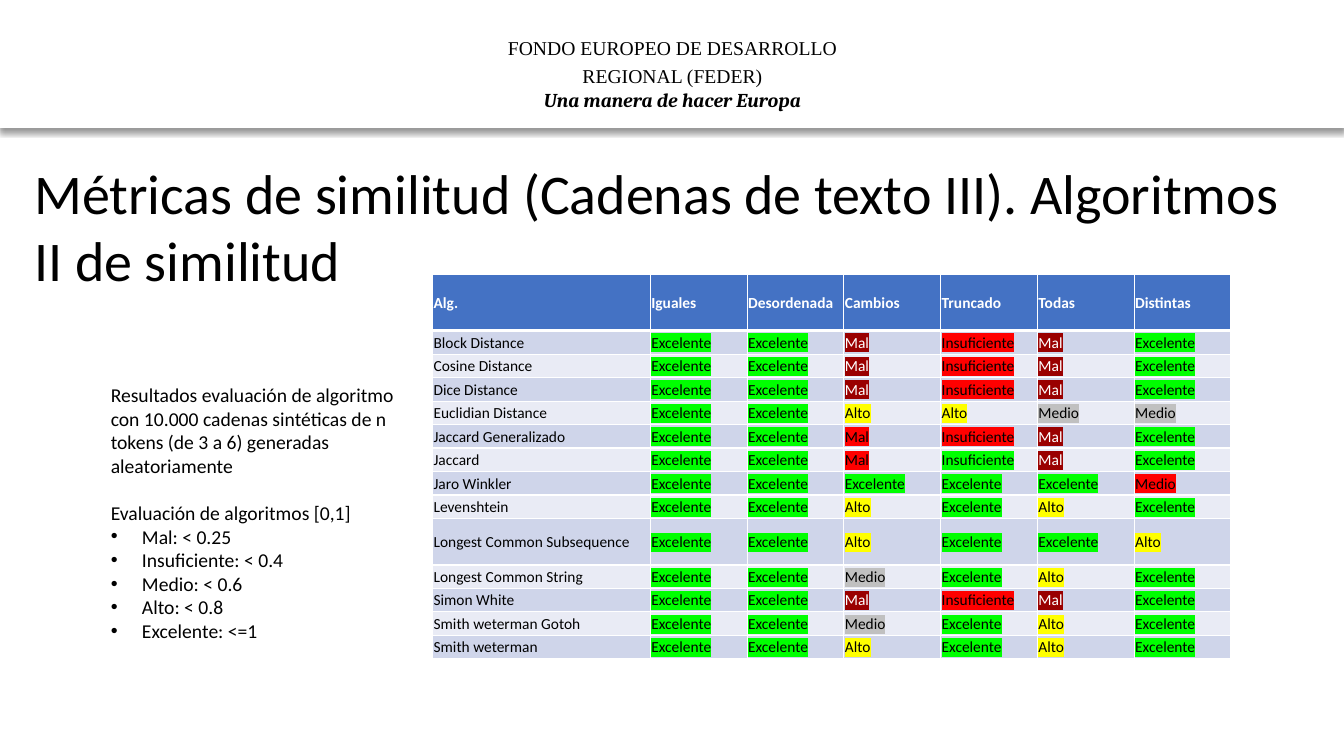
from lxml import etree
from pptx import Presentation
from pptx.dml.color import RGBColor
from pptx.enum.shapes import MSO_SHAPE
from pptx.enum.text import MSO_ANCHOR, MSO_AUTO_SIZE, PP_ALIGN
from pptx.oxml.ns import qn
from pptx.util import Inches, Pt

RECTANGLE = MSO_SHAPE.RECTANGLE
TOP, MIDDLE = MSO_ANCHOR.TOP, MSO_ANCHOR.MIDDLE
LEFT, CENTER = PP_ALIGN.LEFT, PP_ALIGN.CENTER
FIXED = MSO_AUTO_SIZE.NONE

TITLE = "Métricas de similitud (Cadenas de texto III). Algoritmos II de similitud"
FUND = "FONDO EUROPEO DE DESARROLLO REGIONAL (FEDER)"
MOTTO = "Una manera de hacer Europa"
SUMMARY = ("Resultados evaluación de algoritmo con 10.000 cadenas sintéticas de n "
           "tokens (de 3 a 6) generadas aleatoriamente")
SCALE_HEADING = "Evaluación de algoritmos [0,1]"
SCALE = ["Mal: < 0.25", "Insuficiente: < 0.4", "Medio: < 0.6", "Alto: < 0.8", "Excelente: <=1"]

HEADINGS = ["Alg.", "Iguales", "Desordenada", "Cambios", "Truncado", "Todas", "Distintas"]
E, A, M, I, B = "Excelente", "Alto", "Medio", "Insuficiente", "Mal"
RESULTS = [
    ("Block Distance", E, E, B, I, B, E),
    ("Cosine Distance", E, E, B, I, B, E),
    ("Dice Distance", E, E, B, I, B, E),
    ("Euclidian Distance", E, E, A, A, M, M),
    ("Jaccard Generalizado", E, E, B, I, B, E),
    ("Jaccard", E, E, B, I, B, E),
    ("Jaro Winkler", E, E, E, E, E, M),
    ("Levenshtein", E, E, A, E, A, E),
    ("Longest Common Subsequence", E, E, A, E, E, A),
    ("Longest Common String", E, E, M, E, A, E),
    ("Simon White", E, E, B, I, B, E),
    ("Smith weterman Gotoh", E, E, M, E, A, E),
    ("Smith weterman", E, E, A, E, A, E),
]
BLACK, WHITE, GREEN, RED, DARK_RED = "000000", "FFFFFF", "00FF00", "FF0000", "9A0000"
RATING_COLORS = {E: GREEN, A: "FFFF00", M: "C0C0C0", I: RED, B: DARK_RED}
MARK_EXCEPTIONS = {
    ("Jaccard Generalizado", "Cambios"): RED,
    ("Jaccard", "Cambios"): RED,
    ("Jaccard", "Truncado"): GREEN,
    ("Jaro Winkler", "Distintas"): RED,
}
HEADER_FILL, BAND_FILLS = "4472C4", ("CFD5EA", "E9EBF5")
TALL_ROW = "Longest Common Subsequence"
TABLE_BOX = (4.29, 2.72, 7.92, 3.82)
HEADING_HEIGHT, TALL_HEIGHT, RATING_WIDTH = 0.56, 0.46, 0.96


def color(value):
    return RGBColor.from_string(value)


def assign(target, values):
    for key, value in values.items():
        setattr(target, key, value)


def add_xml(parent, tag, **attributes):
    return etree.SubElement(parent, qn(tag), {k: str(v) for k, v in attributes.items()})


def write(paragraph, text, size, font="Calibri", ink=BLACK, **style):
    run = paragraph.add_run()
    run.text = text
    assign(run.font, {"size": Pt(size), "name": font, **style})
    run.font.color.rgb = color(ink)
    return run


def highlight(run, mark):
    properties = run.font._element
    element = etree.Element(qn("a:highlight"))
    add_xml(element, "a:srgbClr", val=mark)
    properties.find(qn("a:solidFill")).addnext(element)


def add_text_box(box):
    frame = slide.shapes.add_textbox(*map(Inches, box)).text_frame
    assign(frame, {"word_wrap": True, "auto_size": FIXED, "vertical_anchor": TOP})
    return frame


def add_borders(cell, **widths):
    properties = cell._tc.get_or_add_tcPr()
    for side in "LRTB":
        line = add_xml(properties, f"a:ln{side}", w=Pt(widths.get(side, 1)))
        add_xml(add_xml(line, "a:solidFill"), "a:srgbClr", val=WHITE)


def fill_cell(cell, text, fill, ink, mark=None, bold=False, **border_widths):
    add_borders(cell, **border_widths)
    cell.fill.solid()
    cell.fill.fore_color.rgb = color(fill)
    margin = Inches(0.01)
    assign(cell, {"margin_left": margin, "margin_right": margin, "margin_top": margin,
                  "margin_bottom": 0, "vertical_anchor": MIDDLE})
    run = write(cell.text_frame.paragraphs[0], text, 11, ink=ink, bold=bold)
    if mark:
        highlight(run, mark)


def add_header():
    band = slide.shapes.add_shape(RECTANGLE, 0, 0, prs.slide_width, Inches(1.26))
    band.shadow.inherit = False
    band.fill.solid()
    band.fill.fore_color.rgb = color(WHITE)
    band.line.color.rgb = color(WHITE)
    band.line.width = Pt(1)
    effects = band._element.spPr.find(qn("a:effectLst"))
    shadow = add_xml(effects, "a:outerShdw", blurRad=Pt(4), dist=Pt(3), dir=90 * 60000,
                     rotWithShape=0)
    add_xml(add_xml(shadow, "a:srgbClr", val=BLACK), "a:alpha", val=40000)

    frame = add_text_box((4.46, 0.26, 4.42, 0.9))
    fund, motto = frame.paragraphs[0], frame.add_paragraph()
    assign(fund, {"alignment": CENTER, "line_spacing": 1.2})
    motto.alignment = CENTER
    write(fund, FUND, 14, "Times New Roman")
    write(motto, MOTTO, 14, "Cambria", bold=True, italic=True)


def add_title():
    title = slide.shapes.title
    left, top, width, height = map(Inches, (0.24, 1.52, 12.86, 1.45))
    assign(title, {"left": left, "top": top, "width": width, "height": height})
    assign(title.text_frame, {"word_wrap": True, "auto_size": FIXED, "vertical_anchor": TOP})
    paragraph = title.text_frame.paragraphs[0]
    paragraph.alignment = LEFT
    write(paragraph, TITLE, 40)


def add_results():
    rating_count = len(HEADINGS) - 1
    table = slide.shapes.add_table(len(RESULTS) + 1, len(HEADINGS),
                                   *map(Inches, TABLE_BOX)).table
    row_height = (TABLE_BOX[3] - HEADING_HEIGHT - TALL_HEIGHT) / (len(RESULTS) - 1)
    table.columns[0].width = Inches(TABLE_BOX[2] - rating_count * RATING_WIDTH)
    for index in range(1, len(HEADINGS)):
        table.columns[index].width = Inches(RATING_WIDTH)
    table.rows[0].height = Inches(HEADING_HEIGHT)
    for column, heading in enumerate(HEADINGS):
        fill_cell(table.cell(0, column), heading, HEADER_FILL, WHITE, bold=True, B=3)
    for row, (algorithm, *ratings) in enumerate(RESULTS, 1):
        table.rows[row].height = Inches(TALL_HEIGHT if algorithm == TALL_ROW else row_height)
        fill = BAND_FILLS[(row - 1) % 2]
        top_width = 3 if row == 1 else 1
        fill_cell(table.cell(row, 0), algorithm, fill, BLACK, T=top_width)
        for column, rating in enumerate(ratings, 1):
            mark = MARK_EXCEPTIONS.get((algorithm, HEADINGS[column]), RATING_COLORS[rating])
            ink = WHITE if mark == DARK_RED else BLACK
            fill_cell(table.cell(row, column), rating, fill, ink, mark, T=top_width)


def add_explanation():
    frame = add_text_box((1, 3.75, 3.15, 3.2))
    write(frame.paragraphs[0], SUMMARY, 14)
    heading = frame.add_paragraph()
    heading.space_before = Pt(17)
    write(heading, SCALE_HEADING, 14)
    for level in SCALE:
        paragraph = frame.add_paragraph()
        write(paragraph, level, 14)
        properties = paragraph._p.get_or_add_pPr()
        properties.set("marL", str(Inches(0.31)))
        properties.set("indent", str(-Inches(0.31)))
        add_xml(properties, "a:buFont", typeface="Arial")
        add_xml(properties, "a:buChar", char="•")


prs = Presentation()
prs.slide_width, prs.slide_height = Inches(13.33), Inches(7.5)
slide = prs.slides.add_slide(prs.slide_layouts[5])
add_header()
add_title()
add_results()
add_explanation()
prs.save("out.pptx")
